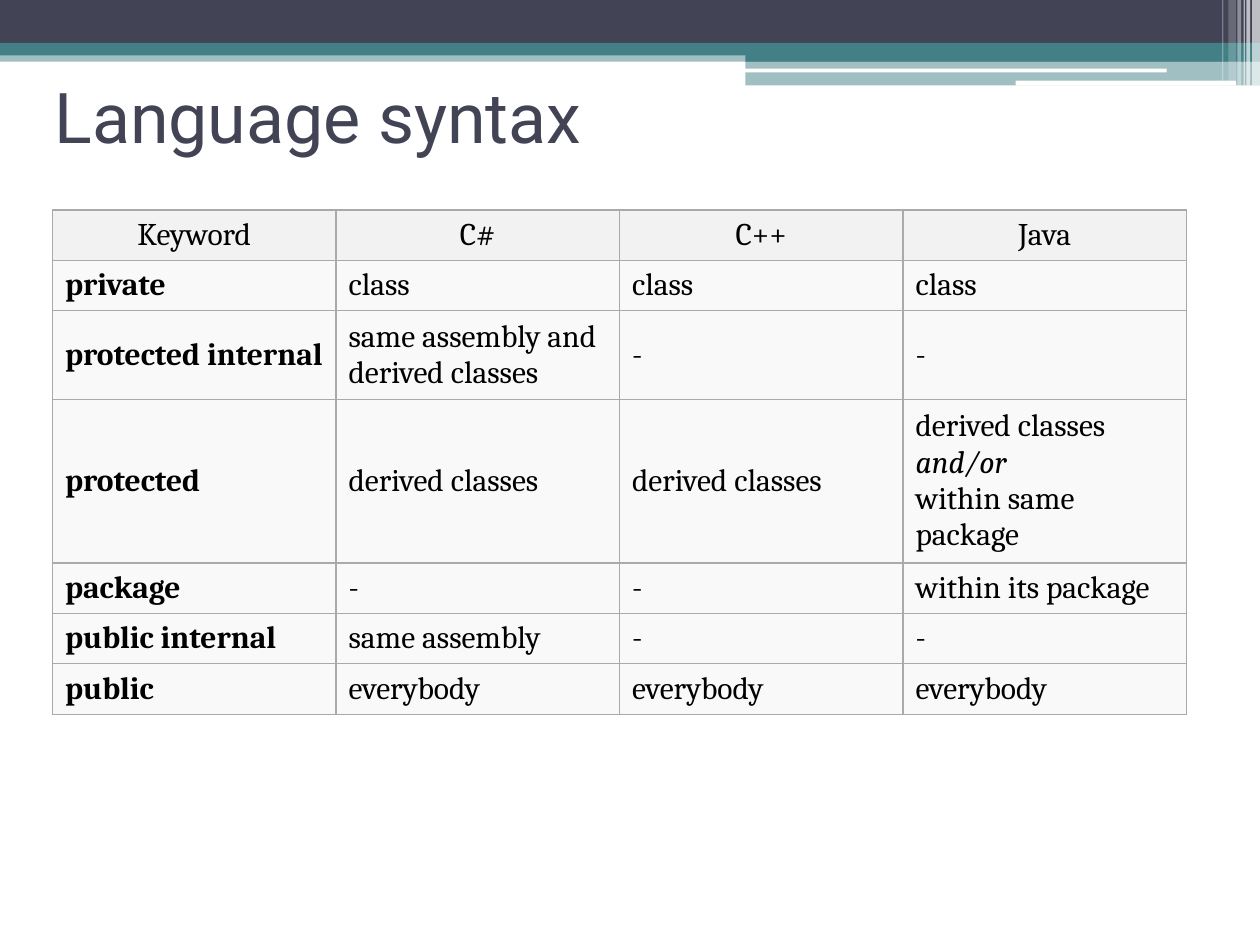
from dataclasses import dataclass

from lxml.etree import SubElement
from pptx import Presentation
from pptx.dml.color import RGBColor
from pptx.enum.shapes import MSO_SHAPE
from pptx.enum.text import MSO_ANCHOR, PP_ALIGN
from pptx.oxml.ns import qn
from pptx.util import Pt

COLORS = {
    "navy": "424456",
    "teal": "438086",
    "white": "FFFFFF",
    "black": "000000",
    "header": "F2F2F2",
    "body": "F9F9F9",
    "border": "AAAAAA",
}


@dataclass(frozen=True)
class Band:
    left: float
    top: float
    width: float
    height: float
    color: str
    opacity: int = 100
    rounded: bool = False


BANDS = [
    Band(0, 28.8, 720, 6.5, "teal", 50),
    Band(0, 0, 720, 24.5, "navy"),
    Band(0, 24.5, 720, 7.2, "teal"),
    Band(426, 28, 294, 7.2, "teal"),
    Band(426, 34.9, 294, 14, "teal", 50),
    Band(425.5, 39.2, 241.2, 2.16, "white", rounded=True),
    Band(580.3, 46.1, 126, 2.88, "white", rounded=True),
    Band(715.5, 0, 4.5, 49, "white", 65),
    Band(712.2, 0, 2.16, 49, "white", 65),
    Band(710.7, 0, 0.72, 49, "white", 60),
    Band(707.1, 0, 2.16, 49, "white", 40),
    Band(702, 0, 4.32, 46.1, "white", 20),
    Band(698.4, 0, 0.72, 46.1, "white", 30),
]

KEYWORD_ROWS = [
    ["Keyword", "C#", "C++", "Java"],
    ["private", "class", "class", "class"],
    ["protected internal", "same assembly and\nderived classes", "-", "-"],
    ["protected", "derived classes", "derived classes",
     "derived classes\nand/or\nwithin same package"],
    ["package", "-", "-", "within its package"],
    ["public internal", "same assembly", "-", "-"],
    ["public", "everybody", "everybody", "everybody"],
]
ROW_HEIGHTS = [28, 28, 49, 90, 28, 28, 28]
COLUMN_WIDTH = 162
ITALIC_LINES = {"and/or"}


def rgb(color: str) -> RGBColor:
    return RGBColor.from_string(COLORS[color])


def set_font(paragraph, family: str, size: float, color: str, bold: bool = False) -> None:
    font = paragraph.font
    font.name, font.size, font.bold = family, Pt(size), bold
    font.color.rgb = rgb(color)


def draw_band(slide, band: Band) -> None:
    kind = MSO_SHAPE.ROUNDED_RECTANGLE if band.rounded else MSO_SHAPE.RECTANGLE
    bar = slide.shapes.add_shape(
        kind, Pt(band.left), Pt(band.top), Pt(band.width), Pt(band.height))
    bar.shadow.inherit = False
    bar.line.fill.background()
    bar.fill.solid()
    bar.fill.fore_color.rgb = rgb(band.color)
    if band.opacity < 100:
        tint = bar.fill._xPr.find(qn("a:solidFill"))[0]
        SubElement(tint, qn("a:alpha"), val=str(band.opacity * 1000))


def draw_title(slide, wording: str) -> None:
    title = slide.shapes.add_textbox(Pt(24), Pt(24), Pt(648), Pt(84)).text_frame
    title.word_wrap = True
    title.vertical_anchor = MSO_ANCHOR.MIDDLE
    heading = title.paragraphs[0]
    heading.text = wording
    set_font(heading, "Roboto", 40, "navy")


def add_borders(cell) -> None:
    properties = cell._tc.get_or_add_tcPr()
    for index, side in enumerate(("lnL", "lnR", "lnT", "lnB")):
        border = properties.makeelement(qn(f"a:{side}"), {"w": str(Pt(0.75))})
        fill = SubElement(border, qn("a:solidFill"))
        SubElement(fill, qn("a:srgbClr"), val=COLORS["border"])
        properties.insert(index, border)


def fill_cell(cell, wording: str, is_header: bool, is_keyword: bool) -> None:
    cell.vertical_anchor = MSO_ANCHOR.MIDDLE
    cell.fill.solid()
    cell.fill.fore_color.rgb = rgb("header" if is_header else "body")
    add_borders(cell)
    paragraph = cell.text_frame.paragraphs[0]
    paragraph.alignment = PP_ALIGN.CENTER if is_header else PP_ALIGN.LEFT
    set_font(paragraph, "Cambria", 18, "black", is_keyword and not is_header)
    for index, line in enumerate(wording.split("\n")):
        if index:
            paragraph.add_line_break()
        run = paragraph.add_run()
        run.text = line
        if line in ITALIC_LINES:
            run.font.italic = True


def draw_keywords(slide, rows: list[list[str]]) -> None:
    column_count = len(rows[0])
    keywords = slide.shapes.add_table(
        len(rows), column_count, Pt(30), Pt(120),
        Pt(COLUMN_WIDTH * column_count), Pt(sum(ROW_HEIGHTS))).table
    keywords.first_row = False
    keywords.horz_banding = False
    for column in keywords.columns:
        column.width = Pt(COLUMN_WIDTH)
    for r, (wordings, height) in enumerate(zip(rows, ROW_HEIGHTS)):
        keywords.rows[r].height = Pt(height)
        for c, wording in enumerate(wordings):
            fill_cell(keywords.cell(r, c), wording, r == 0, c == 0)


presentation = Presentation()
presentation.slide_width, presentation.slide_height = Pt(720), Pt(540)
syntax_slide = presentation.slides.add_slide(presentation.slide_layouts[6])
for band in BANDS:
    draw_band(syntax_slide, band)
draw_title(syntax_slide, "Language syntax")
draw_keywords(syntax_slide, KEYWORD_ROWS)
presentation.save("out.pptx")
